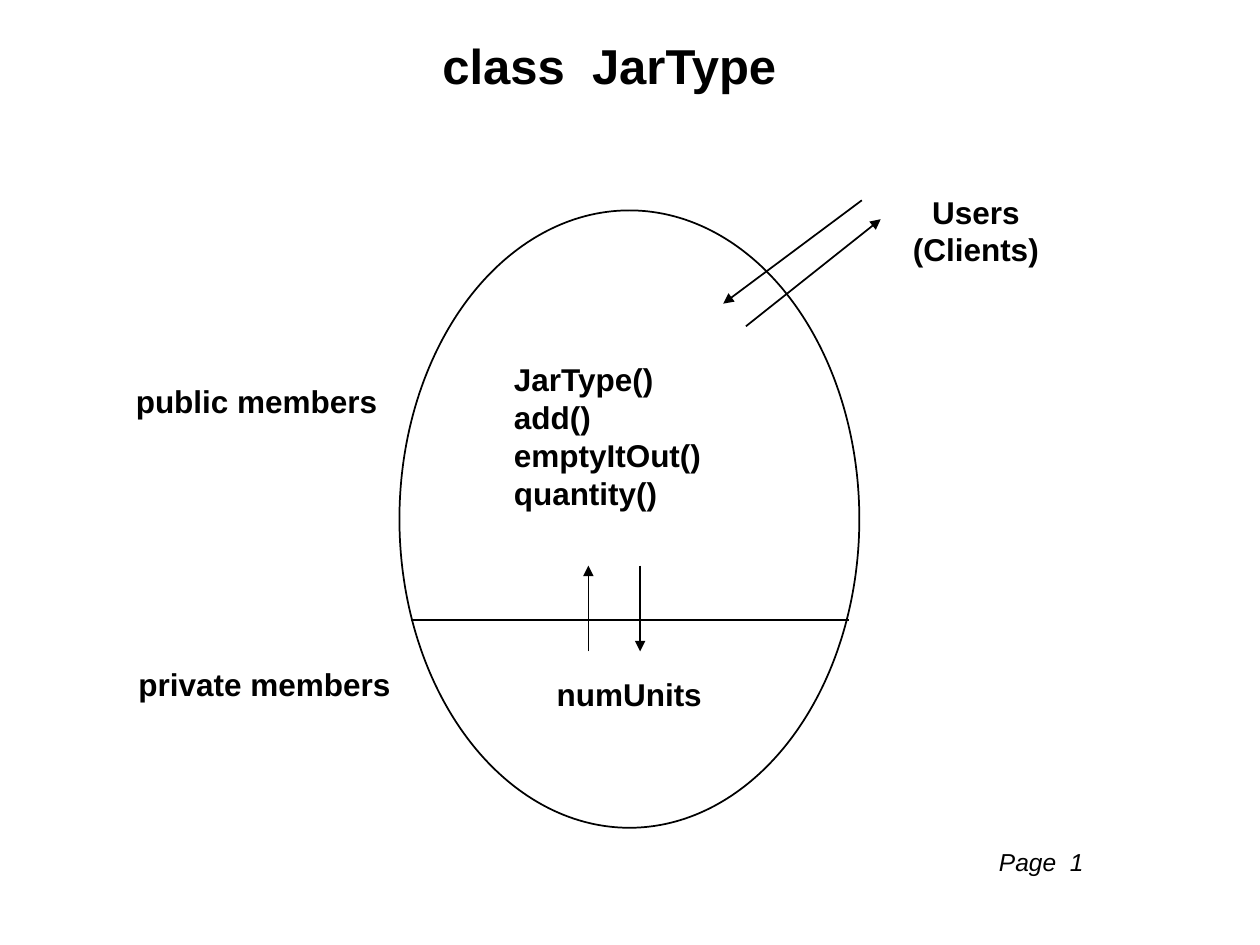
from pptx import Presentation, util as u
from pptx.dml import color
from pptx.enum import shapes, text
from pptx.oxml import ns, xmlchemy

SCALE = 9144
BLACK = "000000"
WHITE = "FFFFFF"
LEFT = text.PP_ALIGN.LEFT
MID = text.PP_ALIGN.CENTER


def px(*nums):
    return [u.Emu(num * SCALE) for num in nums]


def rgb(code):
    return color.RGBColor.from_string(code)


def style(frame, size, align=LEFT, bold=True, slant=False):
    for para in frame.paragraphs:
        para.alignment = align
        for run in para.runs:
            font = run.font
            font.name = "Arial"
            font.size = u.Pt(size)
            font.bold = bold
            font.italic = slant
            font.color.rgb = rgb(BLACK)


def ink(line):
    line.color.rgb = rgb(BLACK)
    line.width = u.Pt(1)


def title(slide, words, box):
    shape = slide.shapes.title
    shape.left, shape.top, shape.width, shape.height = px(*box)
    frame = shape.text_frame
    frame.text = words
    frame.vertical_anchor = text.MSO_ANCHOR.MIDDLE
    frame.paragraphs[0].line_spacing = 0.9
    style(frame, 28, MID)


def label(slide, words, box, size=18, **look):
    frame = slide.shapes.add_textbox(*px(*box)).text_frame
    frame.word_wrap = False
    frame.auto_size = text.MSO_AUTO_SIZE.SHAPE_TO_FIT_TEXT
    frame.text = words
    style(frame, size, **look)


def oval(slide, box):
    shape = slide.shapes.add_shape(shapes.MSO_SHAPE.OVAL, *px(*box))
    shape.shadow.inherit = False
    shape.fill.solid()
    shape.fill.fore_color.rgb = rgb(WHITE)
    ink(shape.line)


def line(slide, ends, arrow=True):
    link = slide.shapes.add_connector(shapes.MSO_CONNECTOR.STRAIGHT, *px(*ends))
    ink(link.line)
    props = link._element.spPr
    if arrow:
        tip = xmlchemy.OxmlElement("a:tailEnd")
        tip.set("type", "triangle")
        props.find(ns.qn("a:ln")).append(tip)
    props.append(xmlchemy.OxmlElement("a:effectLst"))


def main():
    deck = Presentation()
    deck.slide_width, deck.slide_height = px(1000, 750)
    slide = deck.slides.add_slide(deck.slide_layouts[5])

    title(slide, "class  JarType", (100, 17, 767, 75))
    oval(slide, (317, 167, 365, 490))
    line(slide, (326, 492, 674, 492), arrow=False)
    for ends in (
        (508, 449, 508, 517),
        (467, 517, 467, 449),
        (684, 159, 574, 241),
        (592, 259, 699, 174),
    ):
        line(slide, ends)

    label(slide, "JarType()\nadd()\nemptyItOut()\nquantity()", (398, 281, 172, 130))
    label(slide, "numUnits", (432, 531, 136, 40))
    label(slide, "public members", (98, 298, 213, 40))
    label(slide, "private members", (100, 523, 221, 40))
    label(slide, "Users\n(Clients)", (714, 148, 121, 70), align=MID)
    label(slide, "Page  1", (783, 667, 108, 34), 14, bold=False, slant=True)

    deck.save("out.pptx")


if __name__ == "__main__":
    main()
